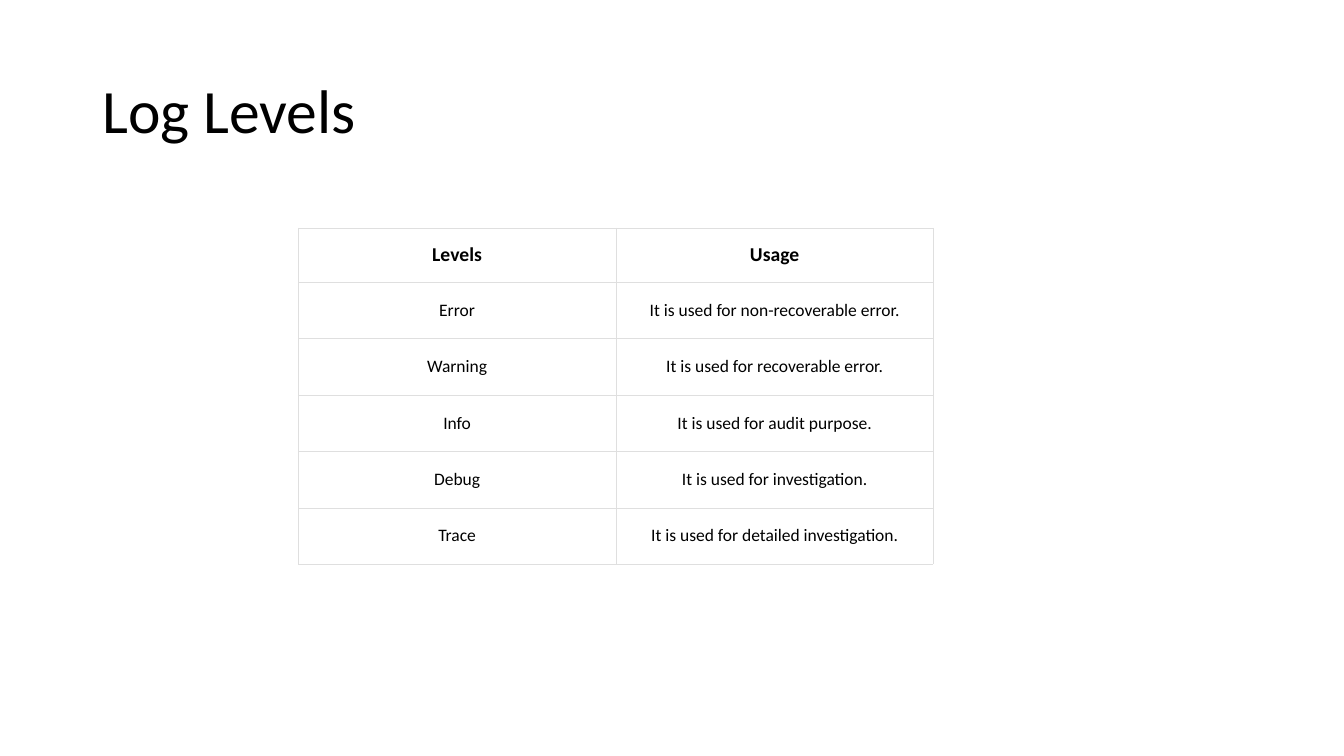
from dataclasses import dataclass

from lxml.etree import SubElement
from pptx import Presentation
from pptx.dml.color import RGBColor
from pptx.enum.text import MSO_ANCHOR, PP_ALIGN
from pptx.oxml.ns import qn
from pptx.slide import Slide
from pptx.table import _Cell
from pptx.text.text import TextFrame
from pptx.util import Pt

BLACK = RGBColor(0x00, 0x00, 0x00)
WHITE = RGBColor(0xFF, 0xFF, 0xFF)
BORDER_GREY = RGBColor(0xDF, 0xDF, 0xDF)
FONT_NAME = "Calibri"

TABLE_LEFT, TABLE_TOP = 213.1, 162.9
COLUMN_WIDTH = 226.8
HEADER_HEIGHT, LEVEL_HEIGHT = 38.6, 40.3
BORDER_WIDTH = 0.1


@dataclass(frozen=True)
class LogRow:
    level: str
    usage: str
    height: float = LEVEL_HEIGHT
    size: float = 12.5
    bold: bool = False


ROWS = [
    LogRow("Levels", "Usage", height=HEADER_HEIGHT, size=14, bold=True),
    LogRow("Error", "It is used for non-recoverable error."),
    LogRow("Warning", "It is used for recoverable error."),
    LogRow("Info", "It is used for audit purpose."),
    LogRow("Debug", "It is used for investigation."),
    LogRow("Trace", "It is used for detailed investigation."),
]


def write_text(
    frame: TextFrame,
    text: str,
    *,
    size: float,
    bold: bool = False,
    align: PP_ALIGN = PP_ALIGN.LEFT,
    line_spacing: float = 1.0,
) -> None:
    paragraph = frame.paragraphs[0]
    paragraph.alignment = align
    paragraph.line_spacing = line_spacing
    run = paragraph.add_run()
    run.text = text
    run.font.name = FONT_NAME
    run.font.size = Pt(size)
    run.font.bold = bold
    run.font.color.rgb = BLACK


def add_title(slide: Slide, text: str) -> None:
    title = slide.shapes.add_textbox(Pt(66), Pt(28.8), Pt(828), Pt(104.4))
    title.text_frame.word_wrap = True
    title.text_frame.vertical_anchor = MSO_ANCHOR.MIDDLE
    write_text(title.text_frame, text, size=44, line_spacing=0.9)


def set_borders(cell: _Cell) -> None:
    """Draw the four cell edges; they must precede the fill in tcPr."""
    properties = cell._tc.get_or_add_tcPr()
    for edge in ("a:lnL", "a:lnR", "a:lnT", "a:lnB"):
        line = SubElement(properties, qn(edge), w=str(Pt(BORDER_WIDTH)))
        fill = SubElement(line, qn("a:solidFill"))
        SubElement(fill, qn("a:srgbClr"), val=str(BORDER_GREY))


def format_cell(cell: _Cell) -> None:
    cell.vertical_anchor = MSO_ANCHOR.MIDDLE
    cell.margin_left = cell.margin_right = Pt(3.6)
    cell.margin_top = cell.margin_bottom = Pt(4)
    set_borders(cell)
    cell.fill.solid()
    cell.fill.fore_color.rgb = WHITE


def add_level_table(slide: Slide, rows: list[LogRow]) -> None:
    table = slide.shapes.add_table(
        len(rows), 2, Pt(TABLE_LEFT), Pt(TABLE_TOP),
        Pt(2 * COLUMN_WIDTH), Pt(sum(row.height for row in rows)),
    ).table
    table.first_row = table.horz_banding = False
    for column in table.columns:
        column.width = Pt(COLUMN_WIDTH)
    for row_index, row in enumerate(rows):
        table.rows[row_index].height = Pt(row.height)
        for column_index, text in enumerate((row.level, row.usage)):
            cell = table.cell(row_index, column_index)
            format_cell(cell)
            write_text(cell.text_frame, text, size=row.size, bold=row.bold,
                       align=PP_ALIGN.CENTER)


def main() -> None:
    presentation = Presentation()
    presentation.slide_width, presentation.slide_height = Pt(960), Pt(540)
    slide = presentation.slides.add_slide(presentation.slide_layouts[6])
    add_title(slide, "Log Levels")
    add_level_table(slide, ROWS)
    presentation.save("out.pptx")


if __name__ == "__main__":
    main()
